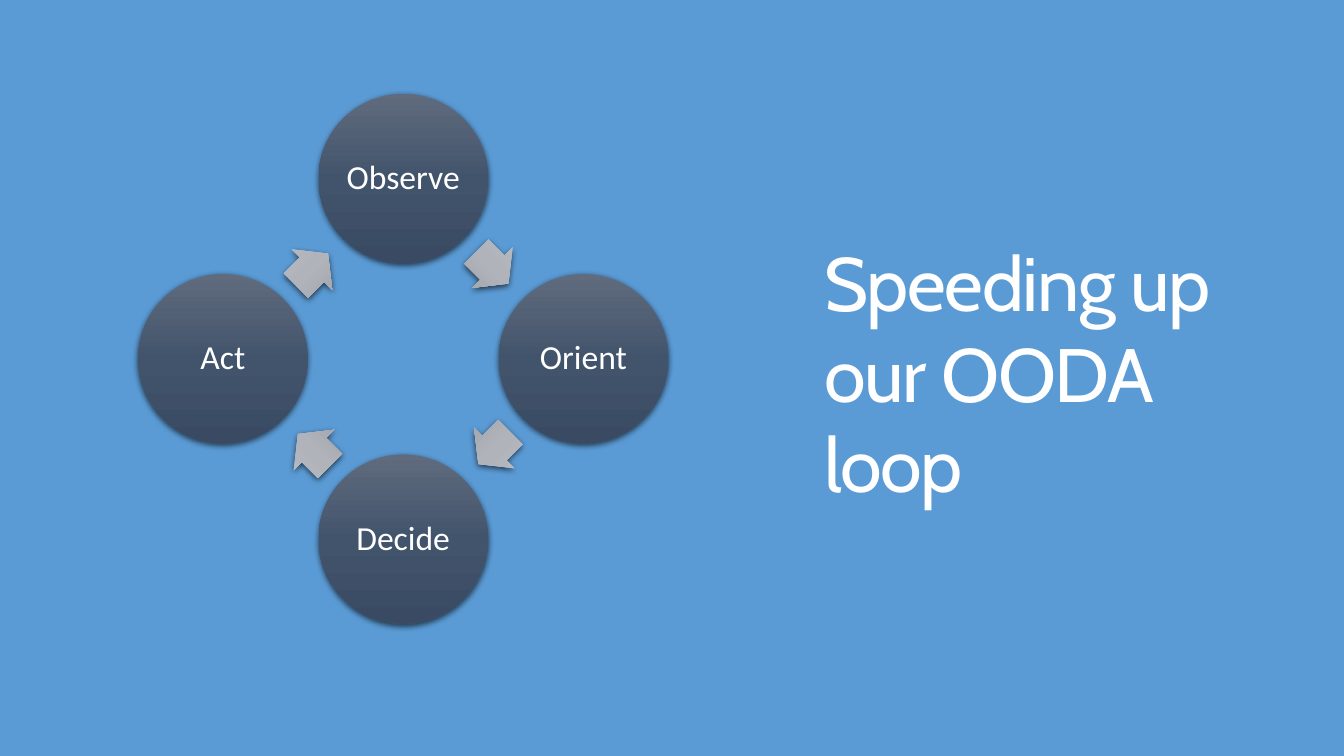
from math import cos, radians, sin

from lxml import etree
from pptx import Presentation
from pptx.dml.color import RGBColor
from pptx.enum.shapes import MSO_SHAPE
from pptx.enum.text import MSO_ANCHOR, PP_ALIGN
from pptx.oxml import parse_xml
from pptx.oxml.ns import nsdecls, qn
from pptx.util import Pt

OVAL = MSO_SHAPE.OVAL
ARROW = MSO_SHAPE.RIGHT_ARROW
MIDDLE = MSO_ANCHOR.MIDDLE
CENTER = PP_ALIGN.CENTER
LEFT = PP_ALIGN.LEFT

BLUE, WHITE = "5B9BD5", "FFFFFF"
STEP_STOPS = ("606B7D", "42546C", "394A62")
ARROW_STOPS = ("BABDC2", "B0B3BA", "9C9FA6")

# Loop geometry in points; angles run clockwise from the right
CENTER_X, CENTER_Y = 288, 256.3
STEP_RADIUS, STEP_SIZE = 128.8, 121
ARROW_RADIUS, ARROW_ANGLE = 91.1, -45.64
ARROW_WIDTH, ARROW_HEIGHT = 32.4, 41
STEPS = ("Observe", "Orient", "Decide", "Act")


def color(value):
    return RGBColor.from_string(value)


def set_values(target, values):
    for name, value in values.items():
        setattr(target, name, value)


def write_text(shape, text, frame_format, alignment, line_spacing, font_format):
    frame = shape.text_frame
    set_values(frame, frame_format)
    paragraph = frame.paragraphs[0]
    set_values(paragraph, {"alignment": alignment, "line_spacing": line_spacing})
    run = paragraph.add_run()
    run.text = text
    set_values(run.font, font_format)
    run.font.color.rgb = color(WHITE)
    return run


def add_gradient(shape, stops):
    """Fill a shape from top to bottom with three evenly spaced colours."""
    stop_xml = "".join(
        f'<a:gs pos="{index * 50000}"><a:srgbClr val="{value}"/></a:gs>'
        for index, value in enumerate(stops))
    gradient = parse_xml(
        f'<a:gradFill {nsdecls("a")} rotWithShape="1"><a:gsLst>{stop_xml}</a:gsLst>'
        '<a:lin ang="5400000" scaled="0"/></a:gradFill>')
    shape._element.spPr.find(qn("a:prstGeom")).addnext(gradient)


def add_shadow(shape):
    shape.shadow.inherit = False
    effects = shape._element.spPr.find(qn("a:effectLst"))
    shadow = etree.SubElement(
        effects, qn("a:outerShdw"), blurRad=str(Pt(4.5)), dist=str(Pt(1.5)),
        dir="5400000", algn="ctr", rotWithShape="0")
    shadow_color = etree.SubElement(shadow, qn("a:srgbClr"), val="000000")
    etree.SubElement(shadow_color, qn("a:alpha"), val="63000")


def add_loop_shape(slide, kind, radius, angle, width, height, stops):
    """Add a shaded shape centred on a ring around the loop's centre."""
    x = CENTER_X + radius * cos(radians(angle))
    y = CENTER_Y + radius * sin(radians(angle))
    shape = slide.shapes.add_shape(
        kind, Pt(x - width / 2), Pt(y - height / 2), Pt(width), Pt(height))
    add_gradient(shape, stops)
    shape.line.fill.background()
    add_shadow(shape)
    return shape


def add_step(slide, text, angle):
    circle = add_loop_shape(
        slide, OVAL, STEP_RADIUS, angle, STEP_SIZE, STEP_SIZE, STEP_STOPS)
    margins = {f"margin_{side}": Pt(2) for side in ("left", "top", "right", "bottom")}
    write_text(circle, text,
               {"word_wrap": True, "vertical_anchor": MIDDLE, **margins},
               CENTER, 0.9, {"name": "Calibri", "size": Pt(24)})


def add_arrow(slide, angle, rotation):
    arrow = add_loop_shape(
        slide, ARROW, ARROW_RADIUS, angle, ARROW_WIDTH, ARROW_HEIGHT, ARROW_STOPS)
    arrow.adjustments[0] = 0.6
    arrow.adjustments[1] = 0.5
    arrow.rotation = rotation


def add_title(slide, text):
    box = slide.shapes.add_textbox(Pt(581.8), Pt(164.9), Pt(342), Pt(210))
    run = write_text(box, text, {"word_wrap": True}, LEFT, 1.0,
                     {"name": "Cabin", "size": Pt(54)})
    run.font._element.set("spc", "-100")


def main():
    presentation = Presentation()
    set_values(presentation, {"slide_width": Pt(960), "slide_height": Pt(540)})
    slide = presentation.slides.add_slide(presentation.slide_layouts[6])
    slide.background.fill.solid()
    slide.background.fill.fore_color.rgb = color(BLUE)

    # Title on the right
    add_title(slide, "Speeding up our OODA loop")

    # Loop of steps, each followed by its arrow
    for index, step in enumerate(STEPS):
        turn = 90 * index
        add_step(slide, step, turn - 90)
        add_arrow(slide, ARROW_ANGLE + turn, 45 + turn)

    presentation.save("out.pptx")


if __name__ == "__main__":
    main()
